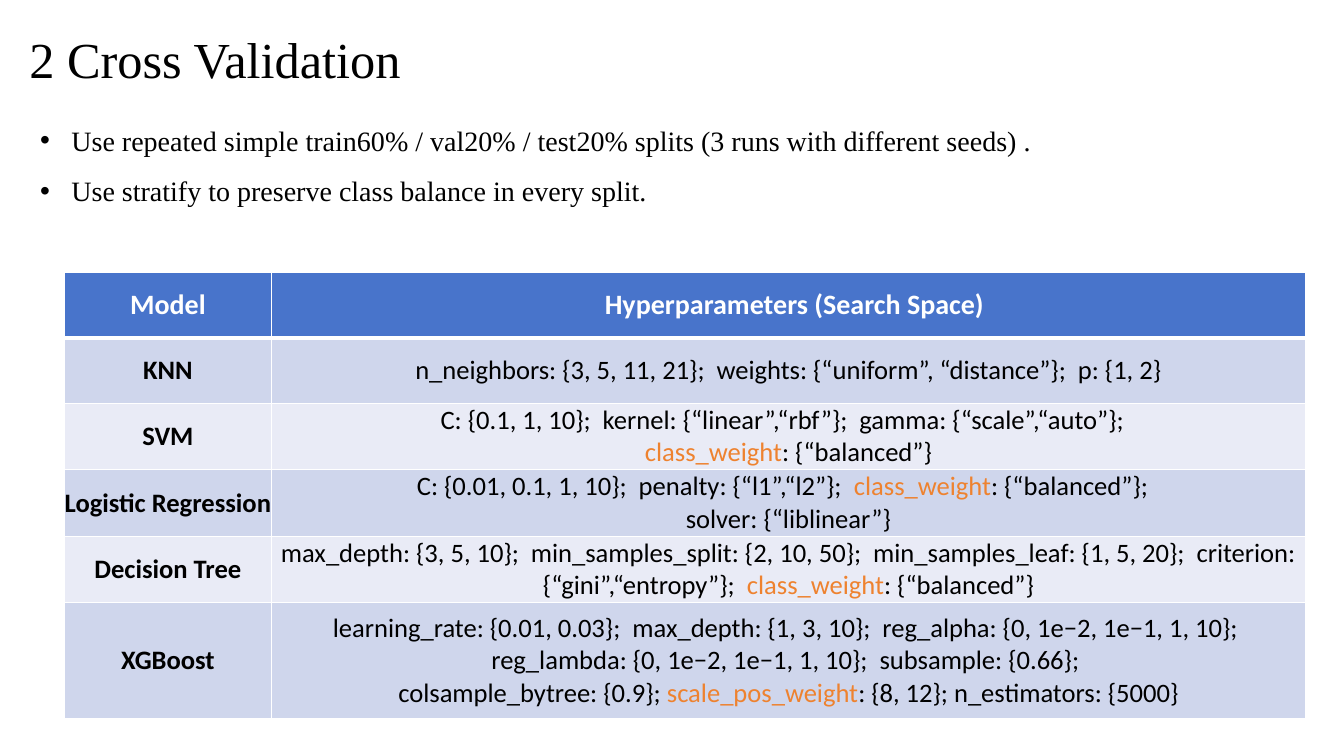
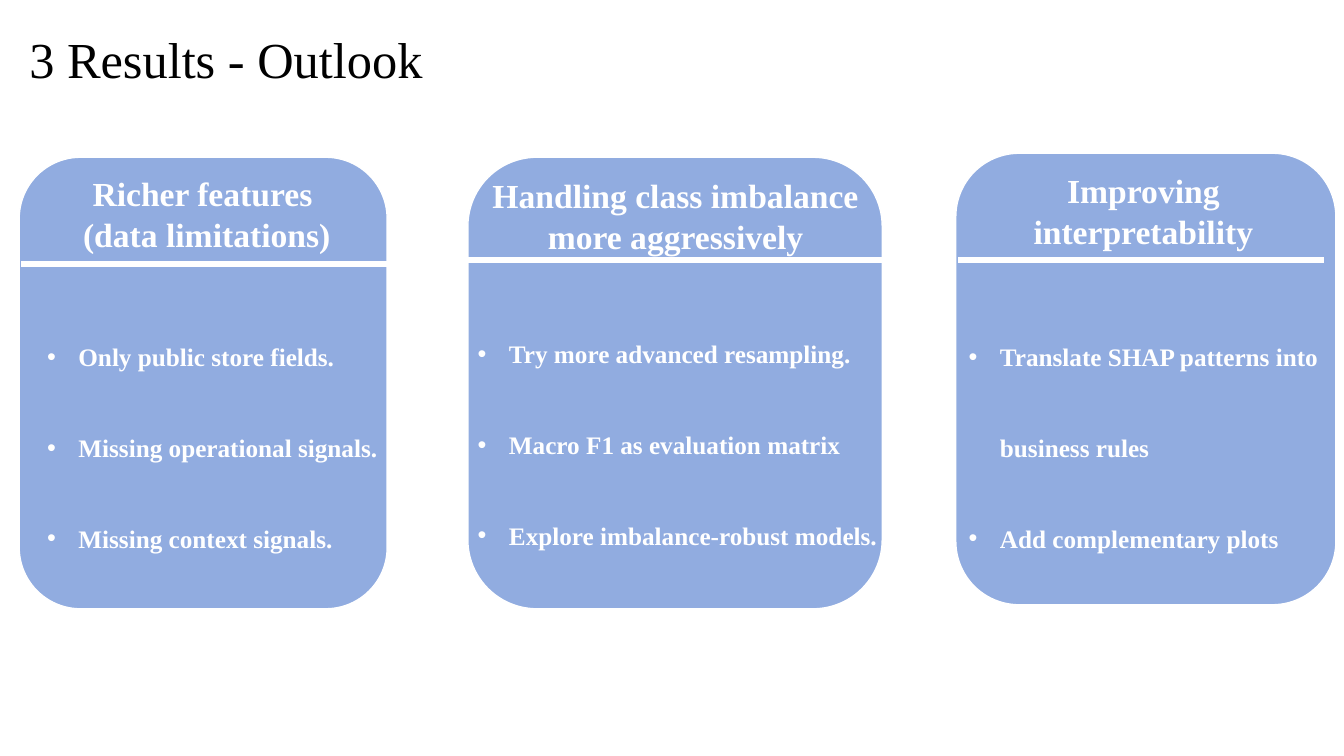
import dataclasses

import lxml.etree
import pptx
import pptx.dml.color
import pptx.enum.shapes
import pptx.enum.text
import pptx.oxml
import pptx.oxml.ns
import pptx.util

Inches = pptx.util.Inches
Pt = pptx.util.Pt
RGBColor = pptx.dml.color.RGBColor
MSO_ANCHOR = pptx.enum.text.MSO_ANCHOR
PP_ALIGN = pptx.enum.text.PP_ALIGN
qn = pptx.oxml.ns.qn

BLACK = RGBColor(0x00, 0x00, 0x00)
WHITE = RGBColor(0xFF, 0xFF, 0xFF)
HEADER_BLUE = RGBColor(0x48, 0x74, 0xCB)
BAND_DARK = RGBColor(0xCF, 0xD6, 0xEC)
BAND_LIGHT = RGBColor(0xE9, 0xEB, 0xF6)
CARD_BLUE = RGBColor(0x91, 0xAC, 0xE0)
ORANGE = RGBColor(0xEE, 0x82, 0x2F)
SERIF = "Times New Roman"
SANS = "Calibri"
MARK = "|"


@dataclasses.dataclass(frozen=True)
class Box:
    """Place and size in inches."""

    left: float
    top: float
    width: float
    height: float

    def emu(self) -> tuple:
        """Return the four lengths for python-pptx."""
        return tuple(Inches(v) for v in dataclasses.astuple(self))


@dataclasses.dataclass(frozen=True)
class TextStyle:
    """Font, size, colour and weight of a text."""

    font: str
    size: float
    color: RGBColor
    bold: bool = False


@dataclasses.dataclass(frozen=True)
class ModelRow:
    """A model with its search space; marked words are highlighted."""

    model: str
    space: str
    height: float


@dataclasses.dataclass(frozen=True)
class Card:
    """A rounded card with heading, rule and bullets."""

    body: Box
    heading_box: Box
    heading: str
    rule_left: float
    rule_right: float
    rule_top: float
    bullet_box: Box
    bullets: tuple


TITLE_BOX = Box(0.19, 0.23, 8.82, 0.71)
TITLE = TextStyle(SERIF, 36, BLACK)
INTRO = TextStyle(SERIF, 20, BLACK)
TABLE_HEAD = TextStyle(SANS, 20, WHITE, True)
MODEL_NAME = TextStyle(SANS, 19, BLACK, True)
SEARCH_SPACE = TextStyle(SANS, 19, BLACK)
CARD_HEAD = TextStyle(SERIF, 24, WHITE, True)
CARD_TEXT = TextStyle(SERIF, 18, WHITE, True)

INTRO_BULLETS = (
    "Use repeated simple train60% / val20% / test20% splits (3 runs with different seeds) .",
    "Use stratify to preserve class balance in every split.",
)
COLUMN_WIDTHS = (2.05, 10.26)
HEADER = ModelRow("Model", "Hyperparameters (Search Space)", 0.65)
MODELS = (
    ModelRow("KNN", "n_neighbors: {3, 5, 11, 21};  weights: {“uniform”, “distance”};  p: {1, 2}", 0.65),
    ModelRow(
        "SVM",
        "C: {0.1, 1, 10};  kernel: {“linear”,“rbf”};  gamma: {“scale”,“auto”};  \n"
        "|class_weight|: {“balanced”}",
        0.66,
    ),
    ModelRow(
        "Logistic Regression",
        "C: {0.01, 0.1, 1, 10};  penalty: {“l1”,“l2”};  |class_weight|: {“balanced”};  \n"
        "solver: {“liblinear”}",
        0.66,
    ),
    ModelRow(
        "Decision Tree",
        "max_depth: {3, 5, 10};  min_samples_split: {2, 10, 50};  min_samples_leaf: {1, 5, 20};  "
        "criterion: {“gini”,“entropy”};  |class_weight|: {“balanced”}",
        0.66,
    ),
    ModelRow(
        "XGBoost",
        "learning_rate: {0.01, 0.03};  max_depth: {1, 3, 10};  reg_alpha: {0, 1e−2, 1e−1, 1, 10};  "
        "reg_lambda: {0, 1e−2, 1e−1, 1, 10};  subsample: {0.66}; \n"
        "colsample_bytree: {0.9}; |scale_pos_weight|: {8, 12}; n_estimators: {5000}",
        1.15,
    ),
)
CARDS = (
    Card(
        Box(0.19, 1.56, 3.65, 4.48),
        Box(0.34, 1.67, 3.42, 0.91),
        "Richer features \n(data limitations)",
        0.21, 3.84, 2.62,
        Box(0.37, 2.74, 4.74, 3.3),
        ("Only public store fields.", "Missing operational signals.", "Missing context signals."),
    ),
    Card(
        Box(4.64, 1.56, 4.11, 4.48),
        Box(4.53, 1.69, 4.34, 1.24),
        "Handling class imbalance more aggressively",
        4.64, 8.87, 2.58,
        Box(4.64, 2.71, 4.74, 3.3),
        ("Try more advanced resampling.", "Macro F1 as evaluation matrix", "Explore imbalance-robust models."),
    ),
    Card(
        Box(9.48, 1.52, 3.77, 4.48),
        Box(9.63, 1.64, 3.42, 0.91),
        "Improving interpretability",
        9.5, 13.13, 2.58,
        Box(9.51, 2.74, 3.77, 4.76),
        ("Translate SHAP patterns into business rules", "Add complementary plots"),
    ),
)


def style_run(r, style: TextStyle) -> None:
    """Apply a text style to one run."""
    r.font.name = style.font
    r.font.size = Pt(style.size)
    r.font.bold = style.bold
    r.font.color.rgb = style.color


def write_text(tf, text: str, style: TextStyle, align=PP_ALIGN.LEFT) -> None:
    """Fill a text frame and format its runs."""
    tf.text = text
    tf.word_wrap = True
    for p in tf.paragraphs:
        p.alignment = align
        for r in p.runs:
            style_run(r, style)


def add_text(s, box: Box, text: str, style: TextStyle, align=PP_ALIGN.LEFT):
    """Add a text box and return its text frame."""
    tf = s.shapes.add_textbox(*box.emu()).text_frame
    write_text(tf, text, style, align)
    return tf


def add_bullets(s, box: Box, items: tuple, style: TextStyle, spacing: float) -> None:
    """Add a bulleted list with a hanging indent."""
    tf = add_text(s, box, "\n".join(items), style)
    for p in tf.paragraphs:
        p.line_spacing = spacing
        pPr = p._p.get_or_add_pPr()
        pPr.set("marL", str(Inches(0.31)))
        pPr.set("indent", str(-Inches(0.31)))
        lxml.etree.SubElement(pPr, qn("a:buFont")).set("typeface", "Arial")
        lxml.etree.SubElement(pPr, qn("a:buChar")).set("char", "•")


def add_titled_slide(prs, title: str):
    """Add a title-only slide with the shared title style."""
    s = prs.slides.add_slide(prs.slide_layouts[5])
    sp = s.shapes.title
    sp.left, sp.top, sp.width, sp.height = TITLE_BOX.emu()
    tf = sp.text_frame
    write_text(tf, title, TITLE)
    tf.auto_size = pptx.enum.text.MSO_AUTO_SIZE.NONE
    tf.vertical_anchor = MSO_ANCHOR.TOP
    return s


def set_borders(cell, bottom: float) -> None:
    """Draw white borders around a cell."""
    tcPr = cell._tc.get_or_add_tcPr()
    for side, width in (("L", 1), ("R", 1), ("T", 1), ("B", bottom)):
        ln = lxml.etree.SubElement(tcPr, qn(f"a:ln{side}"), w=str(Pt(width)))
        fill = lxml.etree.SubElement(ln, qn("a:solidFill"))
        lxml.etree.SubElement(fill, qn("a:srgbClr"), val=str(WHITE))


def write_cell(cell, text: str, style: TextStyle, fill: RGBColor, bottom: float = 1) -> None:
    """Fill and format a table cell, colouring the marked words."""
    set_borders(cell, bottom)
    cell.fill.solid()
    cell.fill.fore_color.rgb = fill
    cell.vertical_anchor = MSO_ANCHOR.MIDDLE
    cell.margin_left = cell.margin_right = cell.margin_top = cell.margin_bottom = 0
    tf = cell.text_frame
    for i, line in enumerate(text.split("\n")):
        p = tf.add_paragraph() if i else tf.paragraphs[0]
        p.alignment = PP_ALIGN.CENTER
        for j, part in enumerate(line.split(MARK)):
            if part:
                r = p.add_run()
                r.text = part
                style_run(r, dataclasses.replace(style, color=ORANGE) if j % 2 else style)


def add_model_table(s) -> None:
    """Add the table of models and search spaces."""
    rows = (HEADER, *MODELS)
    box = Box(0.64, 2.7, sum(COLUMN_WIDTHS), sum(row.height for row in rows))
    table = s.shapes.add_table(len(rows), len(COLUMN_WIDTHS), *box.emu()).table
    for column, width in zip(table.columns, COLUMN_WIDTHS):
        column.width = Inches(width)
    for i, row in enumerate(rows):
        table.rows[i].height = Inches(row.height)
        if i == 0:
            fill, bottom, styles = HEADER_BLUE, 3, (TABLE_HEAD, TABLE_HEAD)
        else:
            fill, bottom = (BAND_DARK if i % 2 else BAND_LIGHT), 1
            styles = (MODEL_NAME, SEARCH_SPACE)
        for j, text in enumerate((row.model, row.space)):
            write_cell(table.cell(i, j), text, styles[j], fill, bottom)
    table.cell(0, 1).margin_left = Inches(0.12)


def add_rule(s, left: float, right: float, top: float) -> None:
    """Add a thick white horizontal rule."""
    y = Inches(top)
    kind = pptx.enum.shapes.MSO_CONNECTOR.STRAIGHT
    rule = s.shapes.add_connector(kind, Inches(left), y, Inches(right), y)
    rule.line.color.rgb = WHITE
    rule.line.width = Pt(4.5)
    lxml.etree.SubElement(rule._element.spPr, qn("a:effectLst"))


def add_card(s, card: Card) -> None:
    """Add one outlook card."""
    sp = s.shapes.add_shape(pptx.enum.shapes.MSO_SHAPE.ROUNDED_RECTANGLE, *card.body.emu())
    sp.shadow.inherit = False
    sp.fill.solid()
    sp.fill.fore_color.rgb = CARD_BLUE
    sp.line.color.rgb = WHITE
    sp.line.width = Pt(1)
    add_text(s, card.heading_box, card.heading, CARD_HEAD, PP_ALIGN.CENTER)
    add_rule(s, card.rule_left, card.rule_right, card.rule_top)
    add_bullets(s, card.bullet_box, card.bullets, CARD_TEXT, 3.0)


def main() -> None:
    """Build and save the presentation."""
    prs = pptx.Presentation()
    prs.slide_width, prs.slide_height = Inches(13.33), Inches(7.5)
    s = add_titled_slide(prs, "2 Cross Validation")
    add_bullets(s, Box(0.3, 1.01, 12.76, 1.11), INTRO_BULLETS, INTRO, 1.5)
    add_model_table(s)
    s = add_titled_slide(prs, "3 Results - Outlook")
    for card in CARDS:
        add_card(s, card)
    prs.save("out.pptx")


if __name__ == "__main__":
    main()
